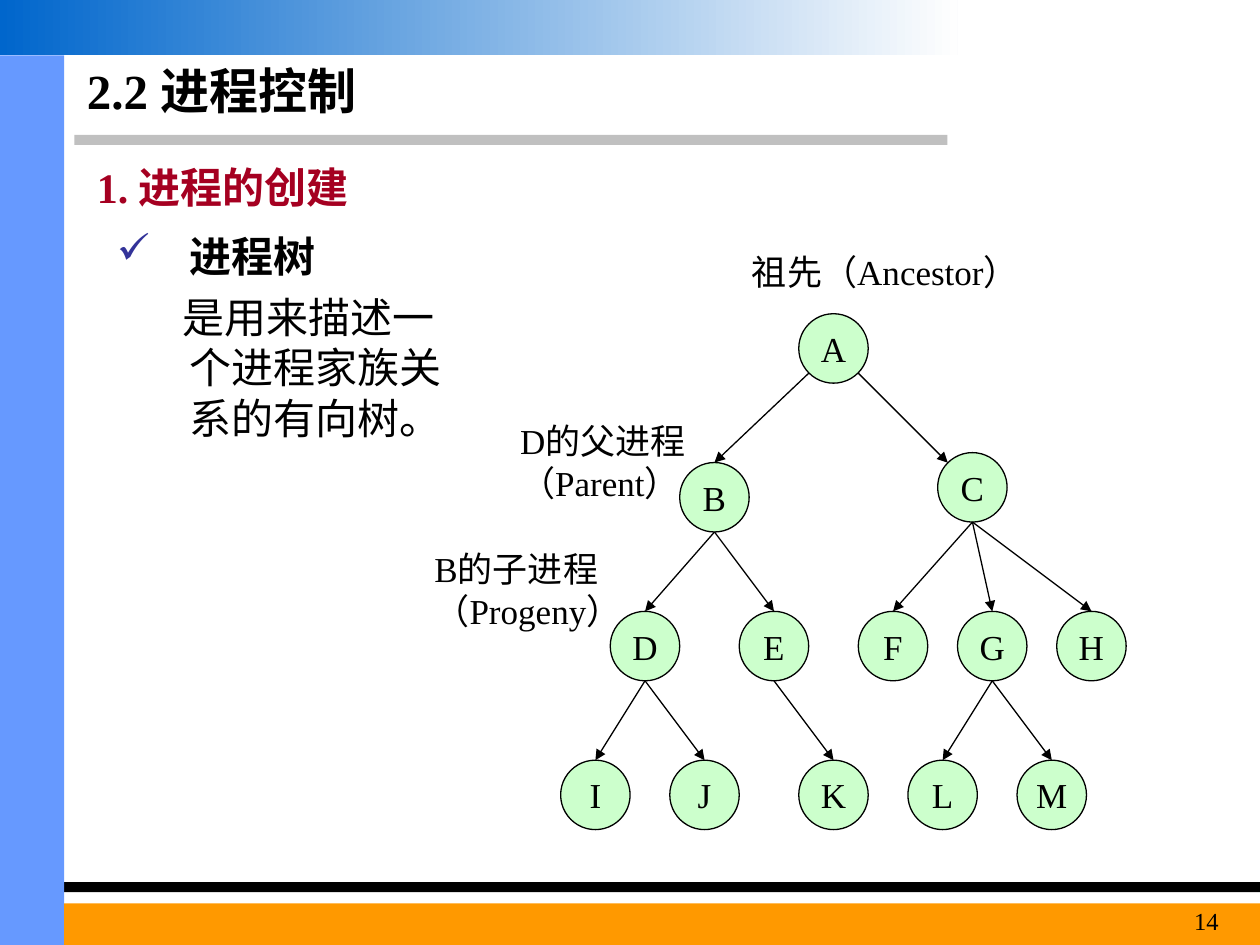
from lxml import etree
from pptx import Presentation
from pptx import util as u
from pptx.dml.color import RGBColor
from pptx.enum import shapes, text
from pptx.oxml import ns

COLS, ROWS = 100, 75
WIDE, HIGH = u.Inches(10), u.Inches(7.5)
FONT = "Times New Roman"
STEP = u.Mm(2)
SIZE = 7 * STEP
LEFT, TOP = u.Inches(4.45), u.Inches(2.49)
SIDE = 0.71

NODES = {
    "A": (24, 0), "B": (12, 15), "C": (38, 14),
    "D": (5, 30), "E": (18, 30), "F": (30, 30), "G": (40, 30), "H": (50, 30),
    "I": (0, 45), "J": (11, 45), "K": (24, 45), "L": (35, 45), "M": (46, 45),
}
KIDS = {"B": "DE", "C": "FGH", "D": "IJ", "E": "K", "G": "LM"}
BARS = [
    ((5.9, 10.7, 69.3, 0.8), "C0C0C0"),
    ((0, 70, 100, 0.8), "000000"),
    ((0, 4.4, 5.1, 70.6), "6699FF"),
    ((5.1, 71.7, 94.9, 3.3), "FF9900"),
]
LABELS = [
    ((58.7, 19.4, 28.3, 4.4), "祖先（Ancestor）"),
    ((40.3, 32.8, 18.9, 7.7), "D的父进程（Parent）"),
    ((33.5, 43, 21, 7.7), "B的子进程（Progeny）"),
]


def rgb(code):
    return RGBColor.from_string(code)


def place(cells):
    x, y, w, h = cells
    return [int(v) for v in (x * WIDE / COLS, y * HIGH / ROWS,
                             w * WIDE / COLS, h * HIGH / ROWS)]


def style(para, size, color="000000", bold=False):
    for run in para.runs:
        run.font.name = FONT
        run.font.size = u.Pt(size)
        run.font.bold = bold
        run.font.color.rgb = rgb(color)


def bar(slide, cells, color):
    shape = slide.shapes.add_shape(shapes.MSO_SHAPE.RECTANGLE, *place(cells))
    shape.shadow.inherit = False
    shape.line.fill.background()
    shape.fill.solid()
    shape.fill.fore_color.rgb = rgb(color)
    return shape


def fade(shape, start, end):
    shape.fill.gradient()
    shape.fill.gradient_angle = 0
    for stop, color in zip(shape.fill.gradient_stops, (start, end)):
        stop.color.rgb = rgb(color)


def head(slide, cells, words):
    title = slide.shapes.title
    title.left, title.top, title.width, title.height = place(cells)
    frame = title.text_frame
    frame.text = words
    frame.auto_size = text.MSO_AUTO_SIZE.NONE
    frame.vertical_anchor = text.MSO_ANCHOR.MIDDLE
    frame.paragraphs[0].alignment = text.PP_ALIGN.LEFT
    style(frame.paragraphs[0], 28, bold=True)


def note(slide, cells, words, size, color="000000", bold=False):
    frame = slide.shapes.add_textbox(*place(cells)).text_frame
    frame.word_wrap = True
    frame.text = words
    style(frame.paragraphs[0], size, color, bold)
    return frame


def indent(para, margin, first):
    props = para._p.get_or_add_pPr()
    props.set("marL", str(u.Inches(margin)))
    props.set("indent", str(u.Inches(first)))
    return props


def check(para, color):
    props = indent(para, 0.58, -0.58)
    tint = etree.SubElement(props, ns.qn("a:buClr"))
    etree.SubElement(tint, ns.qn("a:srgbClr")).set("val", color)
    etree.SubElement(props, ns.qn("a:buChar")).set("char", "✓")


def node(slide, name):
    col, row = NODES[name]
    oval = slide.shapes.add_shape(shapes.MSO_SHAPE.OVAL, LEFT + col * STEP,
                                  TOP + row * STEP, SIZE, SIZE)
    oval.shadow.inherit = False
    oval.fill.solid()
    oval.fill.fore_color.rgb = rgb("CCFFCC")
    oval.line.color.rgb = rgb("000000")
    oval.line.width = u.Pt(0.75)
    frame = oval.text_frame
    frame.text = name
    frame.word_wrap = False
    frame.vertical_anchor = text.MSO_ANCHOR.MIDDLE
    frame.paragraphs[0].alignment = text.PP_ALIGN.CENTER
    style(frame.paragraphs[0], 20)
    return oval


def rim(oval, across, down):
    half = SIZE / 2
    return (int(oval.left + half * (1 + across)),
            int(oval.top + half * (1 + down)))


def arrow(slide, start, end):
    line = slide.shapes.add_connector(shapes.MSO_CONNECTOR.STRAIGHT,
                                      *start, *end)
    line.line.color.rgb = rgb("000000")
    line.line.width = u.Pt(0.75)
    tip = etree.SubElement(line.line._get_or_add_ln(), ns.qn("a:tailEnd"))
    tip.set("type", "triangle")
    etree.SubElement(line._element.spPr, ns.qn("a:effectLst"))


def tree(slide):
    ovals = {name: node(slide, name) for name in NODES}
    root = ovals["A"]
    arrow(slide, rim(root, -SIDE, SIDE), rim(ovals["B"], 0, -1))
    arrow(slide, rim(root, SIDE, SIDE), rim(ovals["C"], -SIDE, -SIDE))
    for name, kids in KIDS.items():
        for kid in kids:
            arrow(slide, rim(ovals[name], 0, 1), rim(ovals[kid], 0, -1))


def main():
    deck = Presentation()
    deck.slide_width, deck.slide_height = WIDE, HIGH
    slide = deck.slides.add_slide(deck.slide_layouts[5])
    for cells, color in BARS:
        bar(slide, cells, color)
    fade(bar(slide, (0, 0, 76, 4.4), "0066CC"), "0066CC", "FEFEFE")
    head(slide, (5.9, 4.4, 68.5, 5.5), "2.2 进程控制")

    body = note(slide, (8.3, 17.8, 28.4, 23.6), "进程树", 24, bold=True)
    check(body.paragraphs[0], "333399")
    para = body.add_paragraph()
    para.text = "是用来描述一个进程家族关系的有向树。"
    indent(para, 0.58, -0.06)
    para.space_before = u.Pt(6)
    style(para, 24)

    topic = note(slide, (5.9, 12.3, 48, 5), "1. 进程的创建", 24, "A50021", True)
    indent(topic.paragraphs[0], 0.08, 0)
    tree(slide)
    for cells, words in LABELS:
        note(slide, cells, words, 20)
    page = note(slide, (88.6, 71.4, 9.1, 3.6), "14", 14)
    page.paragraphs[0].alignment = text.PP_ALIGN.RIGHT
    deck.save("out.pptx")


if __name__ == "__main__":
    main()
